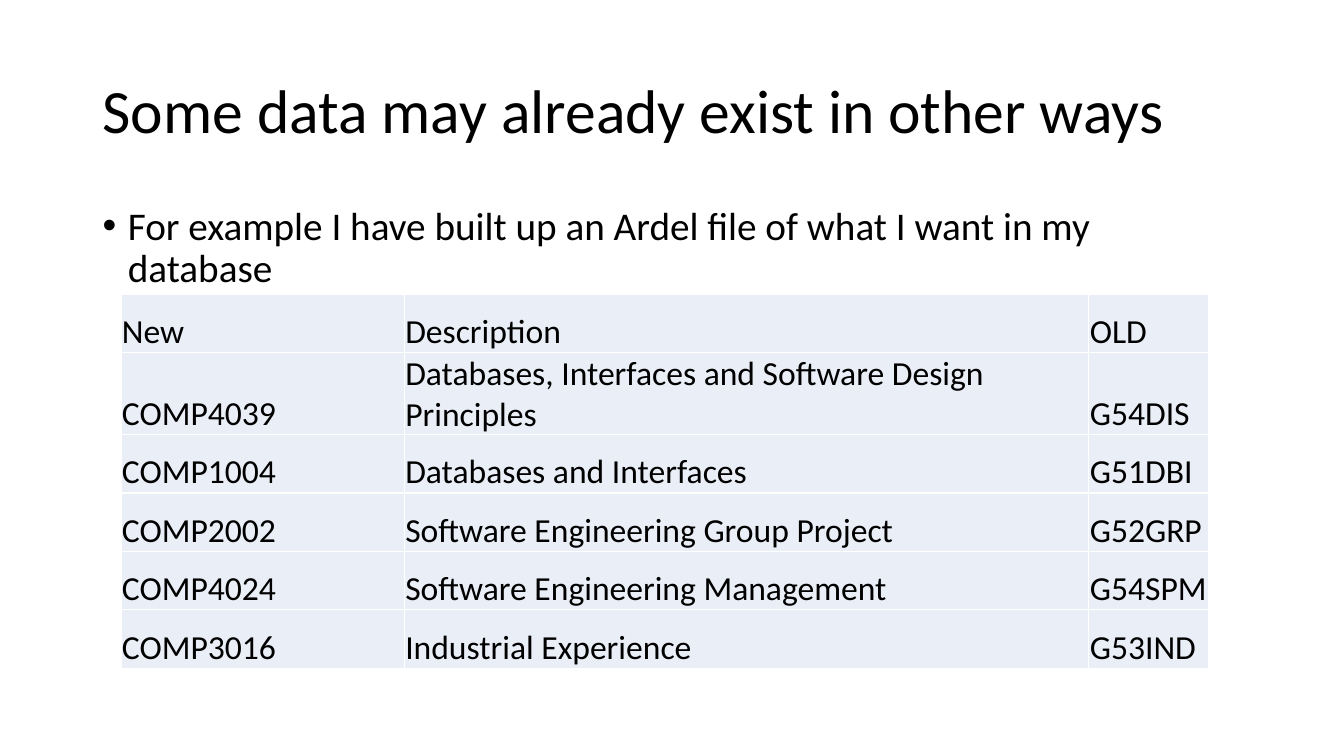
import pptx
import pptx.dml.color
import pptx.enum.text
import pptx.oxml.ns
import pptx.util
from lxml import etree

Inches = pptx.util.Inches
Pt = pptx.util.Pt
ANCHOR = pptx.enum.text.MSO_ANCHOR
qn = pptx.oxml.ns.qn

BLACK = pptx.dml.color.RGBColor(0x00, 0x00, 0x00)
WHITE = pptx.dml.color.RGBColor(0xFF, 0xFF, 0xFF)
PALE_BLUE = pptx.dml.color.RGBColor(0xEA, 0xEF, 0xF7)
FONT = "Calibri"

MODULES = [
    ("New", "Description", "OLD"),
    ("COMP4039", "Databases, Interfaces and Software Design Principles", "G54DIS"),
    ("COMP1004", "Databases and Interfaces", "G51DBI"),
    ("COMP2002", "Software Engineering Group Project", "G52GRP"),
    ("COMP4024", "Software Engineering Management", "G54SPM"),
    ("COMP3016", "Industrial Experience", "G53IND"),
]
COLUMN_WIDTHS = (2.81, 6.79, 1.19)
ROW_HEIGHT = 0.58


def format_runs(p, size):
    for r in p.runs:
        r.font.name = FONT
        r.font.size = Pt(size)
        r.font.color.rgb = BLACK


def add_text(s, top, height, text, size, anchor):
    sp = s.shapes.add_textbox(Inches(0.92), Inches(top), Inches(11.5), Inches(height))
    tf = sp.text_frame
    tf.word_wrap = True
    tf.vertical_anchor = anchor
    tf.text = text
    p = tf.paragraphs[0]
    p.line_spacing = 0.9
    format_runs(p, size)
    return p


def add_bullet(p):
    p.space_before = Pt(10)
    pPr = p._p.get_or_add_pPr()
    pPr.set("marL", str(Inches(0.25)))
    pPr.set("indent", str(Inches(-0.25)))
    etree.SubElement(pPr, qn("a:buFont"), typeface="Arial")
    etree.SubElement(pPr, qn("a:buChar"), char="•")


def set_borders(cell):
    tcPr = cell._tc.get_or_add_tcPr()
    for side in ("lnL", "lnR", "lnT", "lnB"):
        ln = etree.SubElement(tcPr, qn("a:" + side), w=str(Pt(1)))
        fill = etree.SubElement(ln, qn("a:solidFill"))
        etree.SubElement(fill, qn("a:srgbClr"), val=str(WHITE))


def fill_cell(cell, text):
    cell.margin_left = cell.margin_right = cell.margin_top = Inches(0.01)
    cell.margin_bottom = 0
    cell.vertical_anchor = ANCHOR.BOTTOM
    set_borders(cell)
    cell.fill.solid()
    cell.fill.fore_color.rgb = PALE_BLUE
    cell.text = text
    format_runs(cell.text_frame.paragraphs[0], 24)


def add_module_table(s):
    frame = s.shapes.add_table(
        len(MODULES), len(COLUMN_WIDTHS), Inches(1.2), Inches(2.92),
        Inches(sum(COLUMN_WIDTHS)), Inches(ROW_HEIGHT * len(MODULES)))
    table = frame.table
    table.first_row = False
    table.horz_banding = False
    for column, width in zip(table.columns, COLUMN_WIDTHS):
        column.width = Inches(width)
    for row, module in zip(table.rows, MODULES):
        row.height = Inches(ROW_HEIGHT)
        for cell, text in zip(row.cells, module):
            fill_cell(cell, text)
    table.cell(1, 1).vertical_anchor = ANCHOR.MIDDLE


def main():
    prs = pptx.Presentation()
    prs.slide_width = Inches(13.33)
    prs.slide_height = Inches(7.5)
    s = prs.slides.add_slide(prs.slide_layouts[6])
    add_text(s, 0.4, 1.45, "Some data may already exist in other ways", 44, ANCHOR.MIDDLE)
    example = add_text(
        s, 2, 4.76,
        "For example I have built up an Ardel file of what I want in my database",
        28, ANCHOR.TOP)
    add_bullet(example)
    add_module_table(s)
    prs.save("out.pptx")


main()
